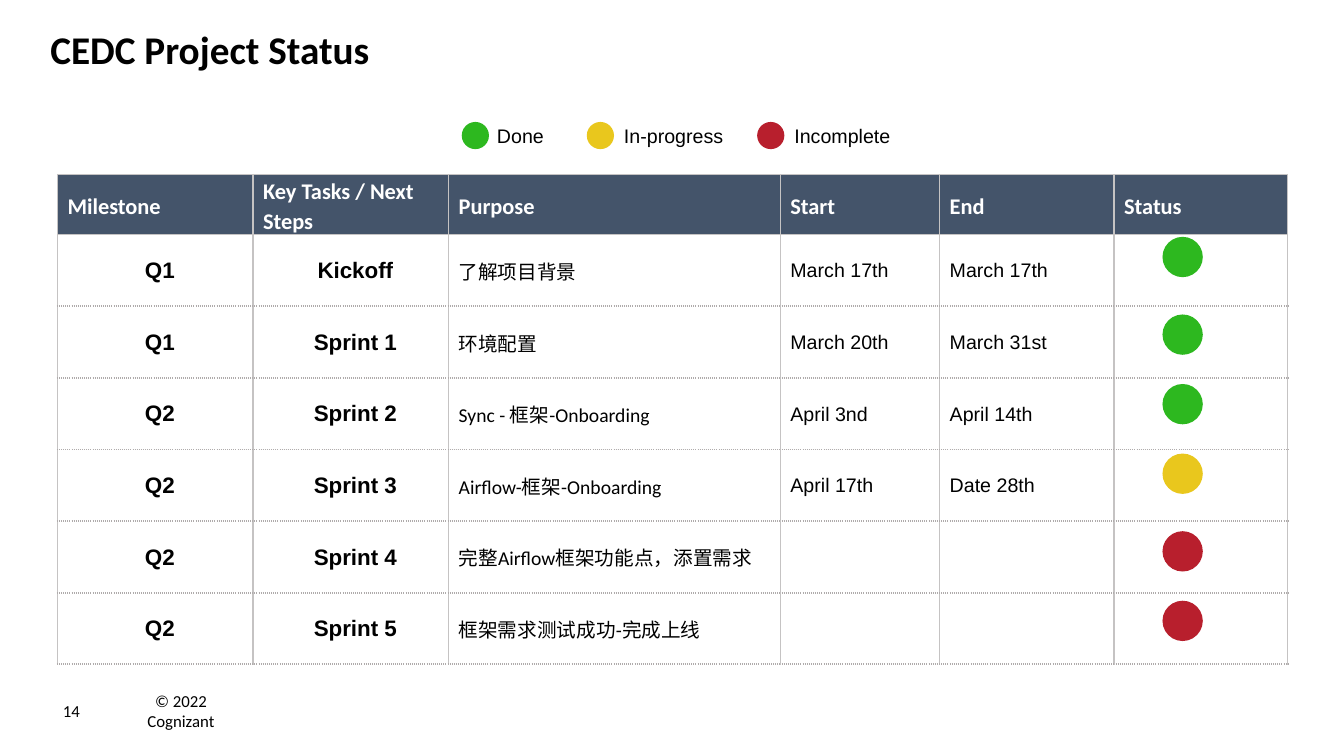
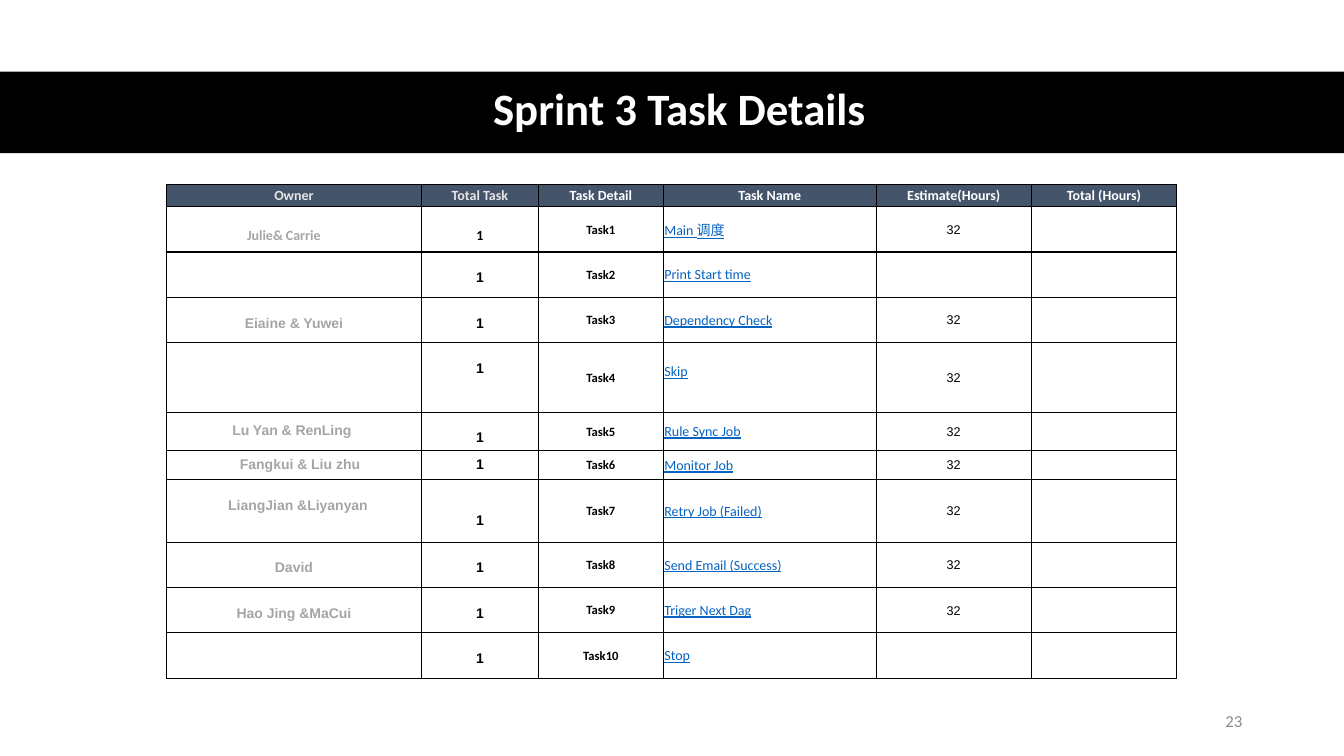
from dataclasses import dataclass
from lxml.etree import SubElement
from pptx import Presentation
from pptx.dml.color import RGBColor
from pptx.enum.shapes import MSO_SHAPE
from pptx.enum.text import MSO_ANCHOR, PP_ALIGN
from pptx.oxml.ns import qn
from pptx.util import Emu, Pt

LEFT, CENTER, RIGHT = PP_ALIGN.LEFT, PP_ALIGN.CENTER, PP_ALIGN.RIGHT
TOP, MIDDLE = MSO_ANCHOR.TOP, MSO_ANCHOR.MIDDLE


@dataclass(frozen=True)
class Style:
    size: int
    color: str = "000000"
    bold: bool = False
    font: str = "Calibri"
    underline: bool = False


class Theme:
    white, black, slate = "FFFFFF", "000000", "44546A"
    pale, owner, link, muted = "E7E6E6", "A5A5A5", "0563C1", "8C8C8C"
    status = {"Done": "2DB81F", "In-progress": "E9C71D", "Incomplete": "B81F2D"}
    solid = ("C5C3C3", 1, "solid")
    dotted = ("AFABAB", 1.5, "sysDot")
    grid = ("000000", 1, "solid")
    title = Style(28, bold=True)
    band_title = Style(32, white, True)
    footer = Style(12)
    page = Style(12, muted)
    legend = Style(14, font="Arial")
    status_head = Style(16, white, True)
    milestone = Style(16, bold=True, font="Arial")
    purpose = Style(14)
    date = Style(14, font="Arial")
    task_head = Style(10, white, True)
    task_head_pale = Style(10, pale, True)
    owner_first = Style(10, owner, True)
    owner_name = Style(10, owner, True, "Arial")
    count_first = Style(10, bold=True)
    count = Style(10, bold=True, font="Arial")
    task = Style(9, bold=True)
    task_link = Style(10, link, underline=True)
    hours = Style(9, font="Arial")


LEGEND = [("Done", 458, 483), ("In-progress", 582, 609), ("Incomplete", 751, 778)]
STATUS_HEAD = ["Milestone", "Key Tasks / Next Steps", "Purpose", "Start", "End", "Status"]
STATUS_COLS = [194, 194, 329, 158, 173, 172]
STATUS_ROWS = [
    ("Q1", "Kickoff", "了解项目背景", "March 17th", "March 17th", "Done", 235),
    ("Q1", "Sprint 1", "环境配置", "March 20th", "March 31st", "Done", 312),
    ("Q2", "Sprint 2", "Sync - 框架-Onboarding", "April 3nd", "April 14th", "Done", 381),
    ("Q2", "Sprint 3", "Airflow-框架-Onboarding", "April 17th", "Date 28th", "In-progress", 450),
    ("Q2", "Sprint 4", "完整Airflow框架功能点，添置需求", "", "", "Incomplete", 527),
    ("Q2", "Sprint 5", "框架需求测试成功-完成上线", "", "", "Incomplete", 596),
]
TASK_HEAD = ["Owner", "Total Task", "Task Detail", "Task Name", "Estimate(Hours)", "Total (Hours)"]
TASK_COLS = [253, 116, 124, 211, 154, 144]
TASK_HEAD_HEIGHT = 22
# height, owner, owner shift, owner top, count top, task name, name lift, hours
TASK_ROWS = [
    (45, "Julie& Carrie", -10, 20, 20, "Main 调度", 0, "32"),
    (45, "", 0, 18, 18, "Print Start time", 0, ""),
    (45, "Eiaine & Yuwei", 0, 18, 18, "Dependency Check", 0, "32"),
    (69, "", 0, 18, 18, "Skip", 6, "32"),
    (38, "Lu Yan & RenLing", -2, 11, 18, "Rule Sync Job", 0, "32"),
    (29, "Fangkui & Liu zhu", 6, 6, 6, "Monitor Job", 0, "32"),
    (62, "LiangJian &Liyanyan", 4, 18, 33, "Retry Job (Failed)", 0, "32"),
    (45, "David", 0, 18, 18, "Send Email (Success)", 0, "32"),
    (45, "Hao Jing &MaCui", 0, 18, 18, "Triger Next Dag", 0, "32"),
    (45, "", 0, 18, 18, "Stop", 0, ""),
]


def px(n):
    return Emu(n * 9144)


def rgb(color):
    return RGBColor.from_string(color)


def write(tf, text, style, align=LEFT, spacing=None):
    p = tf.paragraphs[0]
    p.alignment = align
    if spacing:
        p.line_spacing = spacing
    if not text:
        p._p.get_or_add_endParaRPr().set("sz", str(style.size * 100))
        return
    r = p.add_run()
    r.text = text
    f = r.font
    f.size, f.name, f.bold = Pt(style.size), style.font, style.bold
    f.underline = style.underline
    f.color.rgb = rgb(style.color)


def set_margins(target, margins):
    (target.margin_left, target.margin_top,
     target.margin_right, target.margin_bottom) = map(px, margins)


def add_text(s, box, text, style, align=LEFT, anchor=MIDDLE,
             margins=(10, 5, 10, 5), wrap=True, spacing=None):
    tf = s.shapes.add_textbox(*map(px, box)).text_frame
    tf.word_wrap = wrap
    tf.vertical_anchor = anchor
    set_margins(tf, margins)
    write(tf, text, style, align, spacing)


def add_block(s, kind, box, color):
    sp = s.shapes.add_shape(kind, *map(px, box))
    sp.shadow.inherit = False
    sp.fill.solid()
    sp.fill.fore_color.rgb = rgb(color)
    sp.line.fill.background()


def add_dot(s, x, y, size, status):
    add_block(s, MSO_SHAPE.OVAL, (x, y, size, size), Theme.status[status])


def add_table(s, x, y, cols, heights):
    frame = s.shapes.add_table(len(heights), len(cols), px(x), px(y),
                               px(sum(cols)), px(sum(heights)))
    table = frame.table
    table.first_row = table.horz_banding = False
    for col, width in zip(table.columns, cols):
        col.width = px(width)
    for row, height in zip(table.rows, heights):
        row.height = px(height)
    return table


def set_borders(cell, left, right, top, bottom):
    tcPr = cell._tc.get_or_add_tcPr()
    edges = zip(("a:lnL", "a:lnR", "a:lnT", "a:lnB"), (left, right, top, bottom))
    for i, (tag, (color, width, dash)) in enumerate(edges):
        ln = SubElement(tcPr, qn(tag), w=str(Pt(width)))
        tcPr.insert(i, ln)
        fill = SubElement(ln, qn("a:solidFill"))
        SubElement(fill, qn("a:srgbClr"), val=color)
        SubElement(ln, qn("a:prstDash"), val=dash)


def fill_cell(cell, text, style, borders, align=LEFT, anchor=MIDDLE,
              margins=(1, 1, 1, 0), fill=Theme.white, spacing=None):
    cell.fill.solid()
    cell.fill.fore_color.rgb = rgb(fill)
    cell.vertical_anchor = anchor
    set_margins(cell, margins)
    write(cell.text_frame, text, style, align, spacing)
    set_borders(cell, *borders)


def add_status_slide(prs):
    s = prs.slides.add_slide(prs.slide_layouts[6])
    add_text(s, (50, 25, 1182, 34), "CEDC Project Status", Theme.title,
             anchor=TOP, margins=(0, 0, 0, 0))
    for name, dot_x, label_x in LEGEND:
        add_dot(s, dot_x, 121, 27, name)
        add_text(s, (label_x, 118, 119, 34), name, Theme.legend, wrap=False)

    table = add_table(s, 57, 173, STATUS_COLS, [60] + [71] * len(STATUS_ROWS))
    inset = (10, 1, 1, 0)
    for c, text in enumerate(STATUS_HEAD):
        fill_cell(table.cell(0, c), text, Theme.status_head, [Theme.solid] * 4,
                  margins=inset, fill=Theme.slate, spacing=1.1)
    styles = [Theme.milestone] * 2 + [Theme.purpose] + [Theme.date] * 3
    for i, (*texts, status, dot_y) in enumerate(STATUS_ROWS, 1):
        top = Theme.solid if i == 1 else Theme.dotted
        for c, (text, style) in enumerate(zip(texts + [""], styles)):
            fill_cell(table.cell(i, c), text, style,
                      (Theme.solid, Theme.solid, top, Theme.dotted),
                      CENTER if c < 2 else LEFT, margins=inset)
        add_dot(s, 1153, dot_y, 40, status)

    add_text(s, (114, 685, 131, 40), "© 2022 Cognizant", Theme.footer, CENTER)
    add_text(s, (50, 685, 39, 40), "14", Theme.footer, RIGHT)


def add_task_slide(prs):
    s = prs.slides.add_slide(prs.slide_layouts[6])
    add_block(s, MSO_SHAPE.RECTANGLE, (0, 71, 1333, 81), Theme.black)
    add_text(s, (61, 70, 1226, 81), "Sprint 3 Task Details", Theme.band_title,
             CENTER, spacing=0.9)

    heights = [TASK_HEAD_HEIGHT] + [row[0] for row in TASK_ROWS]
    table = add_table(s, 165, 183, TASK_COLS, heights)
    borders = [Theme.grid] * 4
    for c, text in enumerate(TASK_HEAD):
        style = Theme.task_head_pale if c < 2 else Theme.task_head
        fill_cell(table.cell(0, c), text, style, borders, CENTER, fill=Theme.slate)
    for i, row in enumerate(TASK_ROWS, 1):
        _, owner, shift, owner_top, count_top, name, lift, hours = row
        owner_style = Theme.owner_first if i == 1 else Theme.owner_name
        count_style = Theme.count_first if i == 1 else Theme.count
        owner_margins = (7 + max(2 * shift, 0), owner_top, 7 + max(-2 * shift, 0), 0)
        cells = [
            (owner, owner_style, CENTER, TOP, owner_margins),
            ("1", count_style, CENTER, TOP, (7, count_top, 7, 0)),
            (f"Task{i}", Theme.task, CENTER, MIDDLE, (1, 1, 1, 0)),
            (name, Theme.task_link, LEFT, MIDDLE, (1, 1, 1, 2 * lift)),
            (hours, Theme.hours, CENTER, MIDDLE, (1, 1, 1, 0)),
            ("", Theme.hours, CENTER, MIDDLE, (1, 1, 1, 0)),
        ]
        for c, (text, style, align, anchor, margins) in enumerate(cells):
            fill_cell(table.cell(i, c), text, style, borders, align, anchor, margins)

    add_text(s, (942, 695, 300, 40), "23", Theme.page, RIGHT)


def main():
    prs = Presentation()
    prs.slide_width, prs.slide_height = px(1333), px(750)
    add_status_slide(prs)
    add_task_slide(prs)
    prs.save("out.pptx")


if __name__ == "__main__":
    main()
